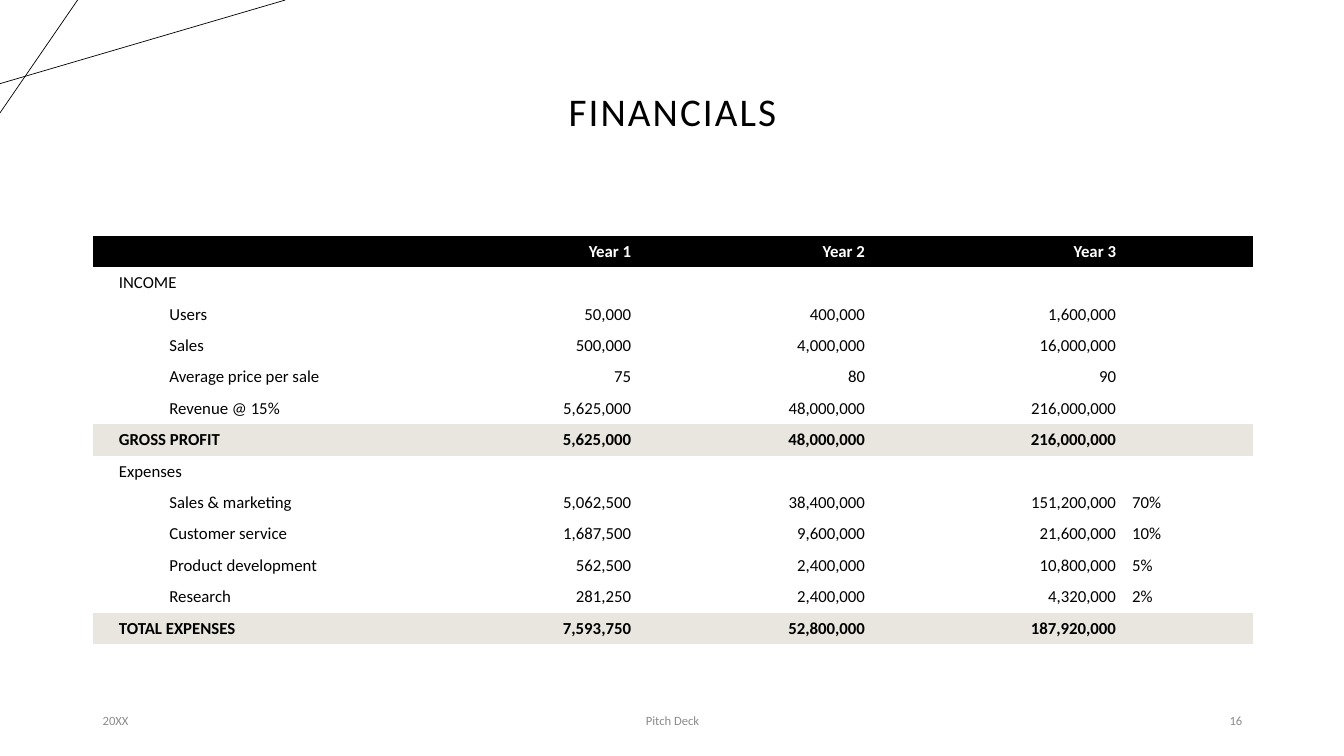
from lxml import etree
from pptx import Presentation
from pptx import util as u
from pptx.dml.color import RGBColor
from pptx.enum import shapes, text
from pptx.oxml.ns import qn

BLACK = RGBColor(0x00, 0x00, 0x00)
WHITE = RGBColor(0xFF, 0xFF, 0xFF)
SAND = RGBColor(0xE9, 0xE6, 0xDF)
GREY = RGBColor(0x8C, 0x8C, 0x8C)
FONT = "Calibri"
LEFT, CENTER, RIGHT = text.PP_ALIGN.LEFT, text.PP_ALIGN.CENTER, text.PP_ALIGN.RIGHT
MIDDLE = text.MSO_ANCHOR.MIDDLE
NO_STYLE = "{2D5ABB26-0587-4C30-8999-92F81FD0307C}"

COLUMN_WIDTHS = (3.54, 1.88, 2.32, 2.49, 1.28)
COLUMN_ALIGNS = (LEFT, RIGHT, RIGHT, RIGHT, LEFT)
# Each row: kind, then the texts from the first column on
ROWS = (
    ("header", "", "Year 1", "Year 2", "Year 3"),
    ("group", "INCOME"),
    ("item", "Users", "50,000", "400,000", "1,600,000"),
    ("item", "Sales", "500,000", "4,000,000", "16,000,000"),
    ("item", "Average price per sale", "75", "80", "90"),
    ("item", "Revenue @ 15%", "5,625,000", "48,000,000", "216,000,000"),
    ("total", "GROSS PROFIT", "5,625,000", "48,000,000", "216,000,000"),
    ("group", "Expenses"),
    ("item", "Sales & marketing", "5,062,500", "38,400,000", "151,200,000", "70%"),
    ("item", "Customer service", "1,687,500", "9,600,000", "21,600,000", "10%"),
    ("item", "Product development", "562,500", "2,400,000", "10,800,000", "5%"),
    ("item", "Research", "281,250", "2,400,000", "4,320,000", "2%"),
    ("total", "TOTAL EXPENSES", "7,593,750", "52,800,000", "187,920,000"),
)
ROW_FILLS = {"header": BLACK, "total": SAND}


def add_span(para, words, size, color, bold=False):
    span = para.add_run()
    span.text = words
    span.font.name = FONT
    span.font.size = u.Pt(size)
    span.font.color.rgb = color
    span.font.bold = bold
    return span


def add_corner_lines(page):
    for start_x, start_y, end_x, end_y in ((0, 0.83, 2.83, 0), (0.77, 0, 0, 1.12)):
        line = page.shapes.add_connector(
            shapes.MSO_CONNECTOR.STRAIGHT,
            u.Inches(start_x), u.Inches(start_y), u.Inches(end_x), u.Inches(end_y))
        line.line.color.rgb = BLACK
        line.line.width = u.Pt(0.5)
        etree.SubElement(line._element.spPr, qn("a:effectLst"))


def set_title(page, left, top, width, height):
    title = page.shapes.title
    title.left, title.top = u.Inches(left), u.Inches(top)
    title.width, title.height = u.Inches(width), u.Inches(height)
    title.text_frame.vertical_anchor = MIDDLE
    para = title.text_frame.paragraphs[0]
    para.alignment = CENTER
    para.line_spacing = 0.9
    span = add_span(para, "FINANCIALS", 28, BLACK)
    span.font._element.set("spc", "150")


def fill_cell(cell, words, kind, column):
    cell.vertical_anchor = MIDDLE
    cell.margin_left = u.Inches(0.26 if column == 0 else 0.08)
    cell.margin_right = u.Inches(0.08)
    cell.margin_top = cell.margin_bottom = u.Inches(0.04)
    if kind in ROW_FILLS:
        cell.fill.solid()
        cell.fill.fore_color.rgb = ROW_FILLS[kind]
    else:
        cell.fill.background()
    para = cell.text_frame.paragraphs[0]
    para.alignment = COLUMN_ALIGNS[column]
    if kind == "item" and column == 0:
        para.level = 1
        para._p.get_or_add_pPr().set("marL", str(u.Inches(0.5)))
    if words:
        add_span(para, words, 12, WHITE if kind == "header" else BLACK, kind in ROW_FILLS)
    else:
        # Keeps an empty cell from stretching its row
        etree.SubElement(para._p, qn("a:endParaRPr"), sz="1200")


def add_financial_table(page, left, top, width, height):
    frame = page.shapes.add_table(
        len(ROWS), len(COLUMN_WIDTHS),
        u.Inches(left), u.Inches(top), u.Inches(width), u.Inches(height))
    table = frame.table
    table.horz_banding = False
    table._tbl.tblPr.find(qn("a:tableStyleId")).text = NO_STYLE
    for column, column_width in zip(table.columns, COLUMN_WIDTHS):
        column.width = u.Inches(column_width)
    for row, (kind, *words) in enumerate(ROWS):
        table.rows[row].height = u.Inches(height / len(ROWS))
        words += [""] * (len(COLUMN_WIDTHS) - len(words))
        for column, word in enumerate(words):
            fill_cell(table.cell(row, column), word, kind, column)


def add_footer(page, left, top, width, height):
    side, middle = 3, 4.5
    parts = (
        ("20XX", left, side, LEFT),
        ("Pitch Deck", left + (width - middle) / 2, middle, CENTER),
        ("16", left + width - side, side, RIGHT),
    )
    for words, part_left, part_width, align in parts:
        box = page.shapes.add_textbox(
            u.Inches(part_left), u.Inches(top), u.Inches(part_width), u.Inches(height))
        box.text_frame.word_wrap = True
        box.text_frame.vertical_anchor = MIDDLE
        para = box.text_frame.paragraphs[0]
        para.alignment = align
        add_span(para, words, 9, GREY)


def main():
    deck = Presentation()
    deck.slide_width, deck.slide_height = u.Inches(13.33), u.Inches(7.5)
    page = deck.slides.add_slide(deck.slide_layouts.get_by_name("Title Only"))
    page.background.fill.solid()
    page.background.fill.fore_color.rgb = WHITE
    add_corner_lines(page)
    set_title(page, 0.92, 0.4, 11.5, 1.45)
    add_financial_table(page, 0.92, 2.34, 11.5, 4.05)
    add_footer(page, 0.92, 6.95, 11.5, 0.4)
    deck.save("out.pptx")


if __name__ == "__main__":
    main()
